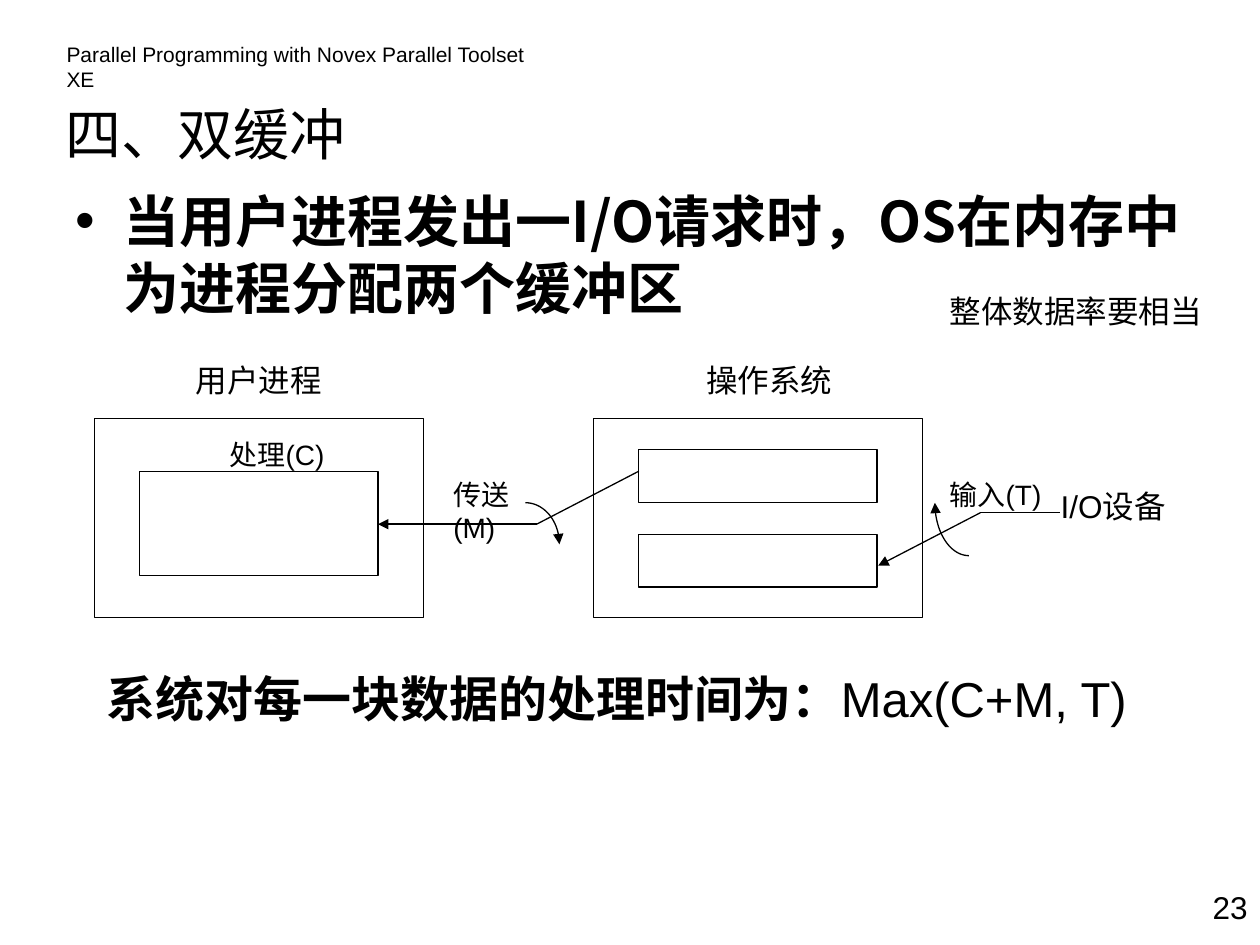
from math import cos, pi, sin

from lxml.etree import SubElement
from pptx import Presentation
from pptx.dml.color import RGBColor
from pptx.enum.shapes import MSO_CONNECTOR, MSO_SHAPE
from pptx.enum.text import MSO_ANCHOR, PP_ALIGN
from pptx.oxml.ns import qn
from pptx.util import Inches, Pt

BLACK = "000000"
LATIN, CJK = "Arial", "Noto Sans CJK SC"
LEFT, CENTER, RIGHT = PP_ALIGN.LEFT, PP_ALIGN.CENTER, PP_ALIGN.RIGHT

# Text, box (left, top, width, height), format
HEADINGS = [
    ("Parallel Programming with Novex Parallel Toolset XE", (0.43, 0.28, 4.1, 0.3), dict(size=12)),
    ("四、双缓冲", (0.42, 0.68, 5.67, 0.75), dict(size=32, font=CJK, anchor=MSO_ANCHOR.MIDDLE)),
    ("23", (9.33, 7, 0.67, 0.5), dict(align=RIGHT)),
    ("当用户进程发出一I/O请求时，OS在内存中为进程分配两个缓冲区", (0.5, 1.43, 9.29, 1.67),
     dict(size=32, font=CJK, bold=True, bullet="•")),
]
LABELS = [
    ("I/O设备", (8.32, 3.82, 1.17, 0.4), {}),
    ("操作系统", (5.34, 2.82, 1.53, 0.4), dict(align=CENTER)),
    ("用户进程", (1.29, 2.82, 1.53, 0.4), dict(align=CENTER)),
    ("输入(T)", (7.44, 3.74, 0.95, 0.37), dict(size=16)),
    ("传送(M)", (3.5, 3.74, 0.94, 0.37), dict(size=16)),
    ("处理(C)", (1.61, 3.42, 1.18, 0.37), dict(size=16, align=CENTER)),
    ("系统对每一块数据的处理时间为：", (0.75, 5.26, 8.82, 0.57),
     dict(size=28, bold=True, plain_tail="Max(C+M, T)")),
    ("整体数据率要相当", (7.44, 2.27, 2.22, 0.4), dict(wrap=False)),
]

USER_PROCESS, OPERATING_SYSTEM = (0.75, 3.32, 2.61, 1.58), (4.71, 3.32, 2.61, 1.58)
WORK_AREA = (1.11, 3.74, 1.89, 0.83)
BUFFERS = [(5.07, top, 1.89, 0.42) for top in (3.57, 4.24)]

# Each route runs through its points; the arrowhead is at the last one
TRANSFER_ROUTE = [(5.07, 3.74), (4.26, 4.16), (3, 4.16)]
INPUT_ROUTE = [(8.41, 4.07), (7.78, 4.07), (6.97, 4.49)]

# Centre, radii, start and end angle in degrees, clockwise from the right
SWITCH_ARCS = [
    ((4.17, 4.32), (0.27, 0.33), -90, 0),
    ((7.69, 3.99), (0.27, 0.42), 90, 180),
]
ARC_STEPS = 24


def color(hex_value):
    return RGBColor.from_string(hex_value)


def add_text(slide, text, box, size=18, font=LATIN, bold=False, align=LEFT,
             anchor=MSO_ANCHOR.TOP, wrap=True, bullet=None, plain_tail=None):
    """Add a text box; plain_tail is a second run that is never bold."""
    frame = slide.shapes.add_textbox(*map(Inches, box)).text_frame
    frame.word_wrap = wrap
    frame.vertical_anchor = anchor
    paragraph = frame.paragraphs[0]
    paragraph.alignment = align
    if bullet:
        properties = paragraph._p.get_or_add_pPr()
        properties.set("marL", str(Inches(0.38)))
        properties.set("indent", str(-Inches(0.38)))
        SubElement(properties, qn("a:buFont"), typeface=LATIN)
        SubElement(properties, qn("a:buChar"), char=bullet)
    for content, weight in ((text, bold), (plain_tail, False)):
        if content:
            run = paragraph.add_run()
            run.text = content
            run.font.size = Pt(size)
            run.font.bold = weight
            run.font.name = font
            run.font.color.rgb = color(BLACK)
            SubElement(run._r.get_or_add_rPr(), qn("a:ea"), typeface=CJK)


def style_line(shape, arrow=False):
    shape.line.color.rgb = color(BLACK)
    shape.line.width = Pt(0.75)
    if arrow:
        SubElement(shape.line._get_or_add_ln(), qn("a:tailEnd"), type="triangle")


def add_box(slide, box):
    shape = slide.shapes.add_shape(MSO_SHAPE.RECTANGLE, *map(Inches, box))
    shape.shadow.inherit = False
    shape.fill.background()
    style_line(shape)


def add_route(slide, points):
    for start, end in zip(points, points[1:]):
        line = slide.shapes.add_connector(MSO_CONNECTOR.STRAIGHT, *map(Inches, start + end))
        style_line(line, arrow=end == points[-1])
        SubElement(line._element.spPr, qn("a:effectLst"))


def add_arc(slide, center, radii, start, end):
    angles = [(start + (end - start) * step / ARC_STEPS) * pi / 180
              for step in range(ARC_STEPS + 1)]
    points = [(Inches(center[0] + radii[0] * cos(angle)),
               Inches(center[1] + radii[1] * sin(angle))) for angle in angles]
    builder = slide.shapes.build_freeform(*points[0])
    builder.add_line_segments(points[1:], close=False)
    arc = builder.convert_to_shape()
    arc.shadow.inherit = False
    arc.fill.background()
    style_line(arc, arrow=True)


def main():
    deck = Presentation()
    deck.slide_width, deck.slide_height = Inches(10), Inches(7.5)
    slide = deck.slides.add_slide(deck.slide_layouts[6])
    for text, box, text_format in HEADINGS:
        add_text(slide, text, box, **text_format)
    for box in (USER_PROCESS, WORK_AREA, OPERATING_SYSTEM, *BUFFERS):
        add_box(slide, box)
    for route in (TRANSFER_ROUTE, INPUT_ROUTE):
        add_route(slide, route)
    for arc in SWITCH_ARCS:
        add_arc(slide, *arc)
    for text, box, text_format in LABELS:
        add_text(slide, text, box, **text_format)
    deck.save("out.pptx")


if __name__ == "__main__":
    main()
